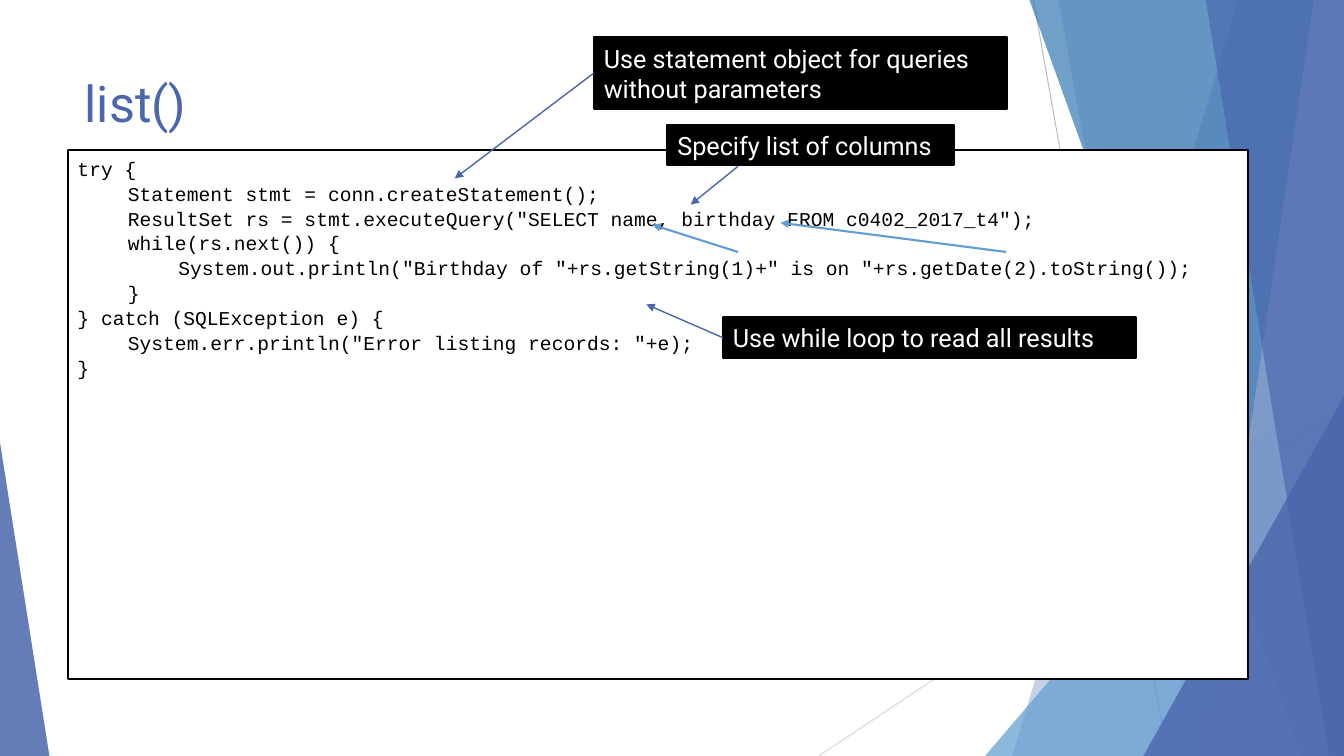
from lxml.etree import SubElement
from pptx import Presentation
from pptx.dml.color import RGBColor
from pptx.enum.shapes import MSO_CONNECTOR as Link, MSO_SHAPE as Kind
from pptx.enum.text import MSO_ANCHOR as Anchor, PP_ALIGN as Align
from pptx.oxml.ns import qn
from pptx.util import Inches, Pt

HUES = {
    "navy": "4A66AC", "sky": "629DD1", "teal": "3477B2", "mist": "90A2CF",
    "black": "000000", "white": "FFFFFF", "gray": "BFBFBF", "pale": "D9D9D9",
}
WIDE, HIGH = 13.33, 7.5
CODE = [
    (0, "try {"),
    (1, "Statement stmt = conn.createStatement();"),
    (1, 'ResultSet rs = stmt.executeQuery("SELECT name, birthday FROM c0402_2017_t4");'),
    (1, "while(rs.next()) {"),
    (2, 'System.out.println("Birthday of "+rs.getString(1)+" is on "+rs.getDate(2).toString());'),
    (1, "}"),
    (0, "} catch (SQLException e) {"),
    (1, 'System.err.println("Error listing records: "+e);'),
    (0, "}"),
]


def color(name):
    """Return the named colour."""
    return RGBColor.from_string(HUES[name])


def paint(shape, hue, alpha=100, edge=None):
    """Fill a shape and set its outline."""
    shape.shadow.inherit = False
    shape.fill.solid()
    shape.fill.fore_color.rgb = color(hue)
    if alpha < 100:
        tone = shape.element.spPr.find(qn("a:solidFill"))[0]
        SubElement(tone, qn("a:alpha"), val=str(alpha * 1000))
    if edge:
        shape.line.color.rgb = color(edge)
        shape.line.width = Pt(1.5)
    else:
        shape.line.fill.background()


def write(shape, lines, font="Roboto", size=18, hue="white", space=None,
          anchor=Anchor.TOP):
    """Put (depth, text) lines into a shape."""
    frame = shape.text_frame
    frame.word_wrap = True
    frame.vertical_anchor = anchor
    for i, (depth, text) in enumerate(lines):
        para = frame.add_paragraph() if i else frame.paragraphs[0]
        para.alignment = Align.LEFT
        para.line_spacing = space
        if depth:
            props = para._p.get_or_add_pPr()
            props.set("marL", str(Inches(depth / 2)))
            props.set("indent", "0")
        run = para.add_run()
        run.text = text
        run.font.name = font
        run.font.size = Pt(size)
        run.font.color.rgb = color(hue)


def box(slide, area, hue):
    """Add a black-edged rectangle."""
    shape = slide.shapes.add_shape(Kind.RECTANGLE, *map(Inches, area))
    paint(shape, hue, edge="black")
    return shape


def label(slide, area, text):
    """Add a black callout."""
    shape = box(slide, area, "black")
    write(shape, [(0, text)], anchor=Anchor.MIDDLE)
    return shape


def line(slide, start, end, hue, width, head=True, source=None):
    """Draw a line or an arrow, joined to the left side of its source."""
    link = slide.shapes.add_connector(Link.STRAIGHT, *map(Inches, start + end))
    if source:
        link.begin_connect(source, 1)
    link.line.color.rgb = color(hue)
    link.line.width = Pt(width)
    if head:
        SubElement(link.line._get_or_add_ln(), qn("a:tailEnd"), type="triangle")
    SubElement(link.element.spPr, qn("a:effectLst"))


def band(slide, top, foot, hue, alpha):
    """Fill from a slanted left edge to the right side of the slide."""
    spots = [(WIDE, 0), (WIDE, HIGH), (foot, HIGH)]
    form = slide.shapes.build_freeform(Inches(top), 0, scale=1.0)
    form.add_line_segments([(Inches(x), Inches(y)) for x, y in spots])
    paint(form.convert_to_shape(), hue, alpha)


def wedge(slide, left, top, width, peak, hue, alpha):
    """Add a right triangle that stands on the slide's bottom edge."""
    area = map(Inches, (left, top, width, HIGH - top))
    shape = slide.shapes.add_shape(Kind.ISOSCELES_TRIANGLE, *area)
    shape.adjustments[0] = peak
    paint(shape, hue, alpha)


def decor(slide):
    """Draw the slanted background pieces."""
    line(slide, (10.25, 0), (11.58, HIGH), "gray", 0.75, head=False)
    line(slide, (WIDE, 4.03), (8.12, HIGH), "pale", 0.75, head=False)
    band(slide, 12.28, 10.04, "navy", 30)
    band(slide, 10.5, 11.83, "navy", 20)
    wedge(slide, 9.77, 3.33, 3.56, 1, "sky", 72)
    band(slide, 10.21, 12.91, "teal", 70)
    band(slide, 13.03, 11.92, "mist", 70)
    band(slide, 11.96, 13.18, "navy", 65)
    wedge(slide, 11.34, 3.93, 1.99, 1, "navy", 80)
    wedge(slide, 0, 4.39, 0.49, 0, "navy", 85)


def main():
    """Build and save the slide."""
    deck = Presentation()
    deck.slide_width, deck.slide_height = Inches(WIDE), Inches(HIGH)
    slide = deck.slides.add_slide(deck.slide_layouts[6])
    decor(slide)
    title = slide.shapes.add_textbox(*map(Inches, (0.74, 0.67, 9.4, 0.8)))
    write(title, [(0, "list()")], size=36, hue="navy")
    code = box(slide, (0.67, 1.49, 11.71, 5.25), "white")
    write(code, CODE, font="Courier New", size=14, hue="black", space=1.06)
    query = label(slide, (5.89, 0.37, 4.1, 0.71),
                  "Use statement object for queries without parameters")
    line(slide, (5.89, 0.72), (4.51, 1.77), "navy", 1, source=query)
    loop = label(slide, (7.17, 3.15, 4.1, 0.4), "Use while loop to read all results")
    line(slide, (7.17, 3.35), (6.41, 3.02), "navy", 1, source=loop)
    label(slide, (6.62, 1.24, 2.84, 0.4), "Specify list of columns")
    line(slide, (7.32, 1.65), (6.85, 2.03), "navy", 1)
    line(slide, (7.32, 2.5), (6.47, 2.23), "sky", 1.5)
    line(slide, (9.98, 2.5), (7.74, 2.21), "sky", 1.5)
    deck.save("out.pptx")


if __name__ == "__main__":
    main()
